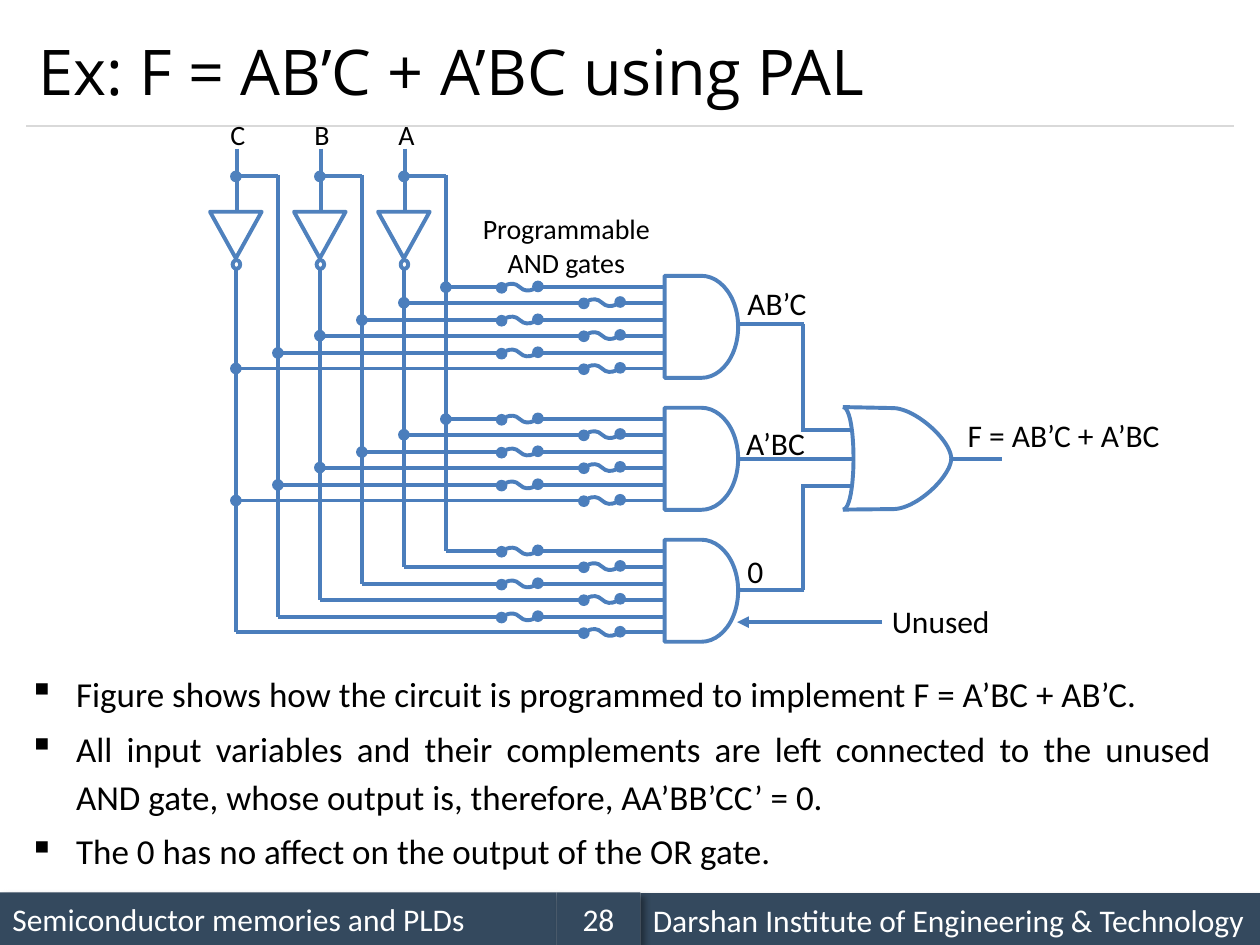
from lxml.etree import SubElement
from pptx import Presentation
from pptx.dml.color import RGBColor
from pptx.enum.shapes import MSO_CONNECTOR, MSO_SHAPE
from pptx.enum.text import MSO_ANCHOR, PP_ALIGN
from pptx.oxml.ns import qn
from pptx.util import Pt

TITLE = "Ex: F = AB’C + A’BC using PAL"
BULLETS = [
    "Figure shows how the circuit is programmed to implement F = A’BC + AB’C.",
    "All input variables and their complements are left connected to the unused "
    "AND gate, whose output is, therefore, AA’BB’CC’ = 0.",
    "The 0 has no affect on the output of the OR gate.",
]
FOOTERS = [
    ("Semiconductor memories and PLDs", 0, 318, 510, PP_ALIGN.LEFT),
    ("Darshan Institute of Engineering & Technology", 366, 354, 510.4, PP_ALIGN.LEFT),
    ("28", 318, 48, 510, PP_ALIGN.CENTER),
]
INPUTS = ["C", "B", "A"]
PRODUCTS = [("AB’C", 420, 159), ("A’BC", 419.3, 239), ("0", 420, 312)]
LABELS = [("Unused", 502.5, 340.5, 73), ("F = AB’C + A’BC", 545.8, 234, 132)]

GATE_LINE, WIRE, RULE, FOOTER_FILL = "4F81BD", "4B7EBC", "D9D9D9", "34495E"
BLACK, WHITE = "000000", "FFFFFF"
INPUT_X, INPUT_STEP, RAIL_GAP = 134.8, 48, 24
ROW_Y, GATE_STEP, PAIR_STEP, COMPLEMENT_GAP = 164.1, 75.4, 18.8, 8.9
GATE_X, GATE_W, GATE_H = 379.8, 42, 58.3
TRUE_FUSE_X, COMPLEMENT_FUSE_X, FUSE_HALF = 297, 344, 10.5
JOIN_X, OR_X, OR_TOP, OR_MID, OR_BOTTOM = 458.8, 481.7, 232.6, 262.1, 291.2

prs = Presentation()
prs.slide_width, prs.slide_height = Pt(720), Pt(540)
slide = prs.slides.add_slide(prs.slide_layouts[6])


def color(value):
    return RGBColor.from_string(value)


def write(paragraph, text, size=18, font="Calibri", ink=BLACK, align=PP_ALIGN.LEFT):
    paragraph.alignment = align
    run = paragraph.add_run()
    run.text = text
    run.font.size, run.font.name = Pt(size), font
    run.font.color.rgb = color(ink)


def label(text, x, y, w, h, wrap=False, anchor=MSO_ANCHOR.TOP, **style):
    frame = slide.shapes.add_textbox(Pt(x), Pt(y), Pt(w), Pt(h)).text_frame
    frame.word_wrap, frame.vertical_anchor = wrap, anchor
    write(frame.paragraphs[0], text, **style)


def outline(shape):
    shape.shadow.inherit = False
    shape.fill.background()
    shape.line.color.rgb = color(GATE_LINE)
    shape.line.width = Pt(2.25)


def symbol(kind, x, y, w, h, rotation=0):
    shape = slide.shapes.add_shape(kind, Pt(x), Pt(y), Pt(w), Pt(h))
    shape.rotation = rotation
    outline(shape)


def wire(x1, y1, x2, y2, ink=WIRE, width=2.25, head=None, tail=None,
         kind=MSO_CONNECTOR.STRAIGHT):
    line = slide.shapes.add_connector(kind, Pt(x1), Pt(y1), Pt(x2), Pt(y2))
    line.line.color.rgb = color(ink)
    line.line.width = Pt(width)
    SubElement(line._element.spPr, qn("a:effectLst"))
    for tag, end in (("a:headEnd", head), ("a:tailEnd", tail)):
        if end:
            SubElement(line.line._get_or_add_ln(), qn(tag), type=end)
    return line


def fuse(x, y):
    curve = wire(x + 7.5, y + 7.2, x - 7.5, y - 7.2, head="oval", tail="oval",
                 kind=MSO_CONNECTOR.CURVE)
    curve._element.spPr.find(qn("a:xfrm")).set("rot", str(134 * 60000))


def bezier(a, b, c, d, steps=24):
    for i in range(steps + 1):
        t = i / steps
        weights = ((1 - t) ** 3, 3 * t * (1 - t) ** 2, 3 * t * t * (1 - t), t ** 3)
        yield tuple(sum(w * p[axis] for w, p in zip(weights, (a, b, c, d)))
                    for axis in (0, 1))


def open_path(points):
    start, *rest = [(Pt(x), Pt(y)) for x, y in points]
    builder = slide.shapes.build_freeform(*start)
    builder.add_line_segments(rest, close=False)
    outline(builder.convert_to_shape())


def footer(text, x, w, y, align):
    bar = slide.shapes.add_shape(MSO_SHAPE.RECTANGLE, Pt(x), Pt(y), Pt(w), Pt(30))
    bar.shadow.inherit = False
    bar.fill.solid()
    bar.fill.fore_color.rgb = color(FOOTER_FILL)
    bar.line.fill.background()
    shadow = SubElement(bar._element.spPr.find(qn("a:effectLst")), qn("a:outerShdw"),
                        blurRad=str(Pt(4)), dist=str(Pt(3)), dir=str(45 * 60000))
    SubElement(SubElement(shadow, qn("a:srgbClr"), val=BLACK), qn("a:alpha"), val="40000")
    bar.text_frame.word_wrap = True
    bar.text_frame.vertical_anchor = MSO_ANCHOR.MIDDLE
    write(bar.text_frame.paragraphs[0], text, ink=WHITE, align=align)


def input_column(name, x, pair):
    last_row = ROW_Y + 2 * GATE_STEP + pair * PAIR_STEP
    wire(x + 0.4, 85, x + 0.4, 121, ink=GATE_LINE)
    symbol(MSO_SHAPE.OVAL, x - 2.2, 149, 5, 4.3, 90)
    symbol(MSO_SHAPE.ISOSCELES_TRIANGLE, x - 14.8, 121, 29.5, 26.6, 180)
    wire(x + RAIL_GAP, 100, x + RAIL_GAP, last_row)
    wire(x + RAIL_GAP, 100.8, x, 100.8, ink=GATE_LINE, tail="oval")
    wire(x, 153.4, x, last_row + COMPLEMENT_GAP)
    label(name, x - 10.2, 63.4, 18, 24.5, size=16)


def product_row(x, fuse_x, y, dot):
    wire(fuse_x - FUSE_HALF, y, x, y, tail=dot)
    fuse(fuse_x, y)
    wire(GATE_X, y, fuse_x + FUSE_HALF, y)


for bar in FOOTERS:
    footer(*bar)
wire(15, 72, 705, 72, ink=RULE, width=0.75)
label(TITLE, 15, 8.6, 690, 63.4, wrap=True, anchor=MSO_ANCHOR.MIDDLE,
      size=36, font="Open Sans")

for column, name in enumerate(INPUTS):
    input_column(name, INPUT_X + column * INPUT_STEP, len(INPUTS) - 1 - column)

for gate, product in enumerate(PRODUCTS):
    top = ROW_Y + gate * GATE_STEP
    dot = "oval" if gate < len(PRODUCTS) - 1 else None
    for column in range(len(INPUTS)):
        x = INPUT_X + column * INPUT_STEP
        y = top + (len(INPUTS) - 1 - column) * PAIR_STEP
        product_row(x + RAIL_GAP, TRUE_FUSE_X, y, dot)
        product_row(x, COMPLEMENT_FUSE_X, y + COMPLEMENT_GAP, dot)
    symbol(MSO_SHAPE.FLOWCHART_DELAY, GATE_X, top - 6.5, GATE_W, GATE_H)
    label(*product, 52, 29)

open_path([(OR_X, OR_TOP),
           *bezier((511, 233.2), (524, 234), (543.6, 252), (543.6, OR_MID)),
           *bezier((543.6, OR_MID), (543.6, 271.5), (525, 290.2), (511, 290.9)),
           (OR_X, OR_BOTTOM)])
open_path(bezier((OR_X, OR_BOTTOM), (489.8, OR_BOTTOM), (489.8, OR_TOP), (OR_X, OR_TOP)))

for gate_y, or_y in ((185.2, 245.5), (337.4, 277.8)):
    wire(JOIN_X + 0.8, gate_y, GATE_X + GATE_W, gate_y)
    wire(JOIN_X, gate_y, JOIN_X, or_y)
    wire(487.4, or_y, JOIN_X - 0.8, or_y)
wire(488.6, OR_MID, GATE_X + GATE_W, OR_MID)
wire(572.4, OR_MID, 543.6, OR_MID)
wire(504, 355.5, 421.2, 355.5, tail="triangle")

label("Programmable AND gates", 266.4, 117.4, 114.5, 46, wrap=True, size=16,
      align=PP_ALIGN.CENTER)
for text, x, y, w in LABELS:
    label(text, x, y, w, 29)

body = slide.shapes.add_textbox(Pt(9.4), Pt(377.3), Pt(690), Pt(120)).text_frame
body.word_wrap = True
for i, text in enumerate(BULLETS):
    paragraph = body.paragraphs[0] if i == 0 else body.add_paragraph()
    paragraph.line_spacing = 1.14
    if i:
        paragraph.space_before = Pt(4)
    properties = paragraph._p.get_or_add_pPr()
    properties.set("marL", str(Pt(27)))
    properties.set("indent", str(-Pt(27)))
    SubElement(properties, qn("a:buChar"), char="▪")
    write(paragraph, text, size=20, align=PP_ALIGN.JUSTIFY)

prs.save("out.pptx")
